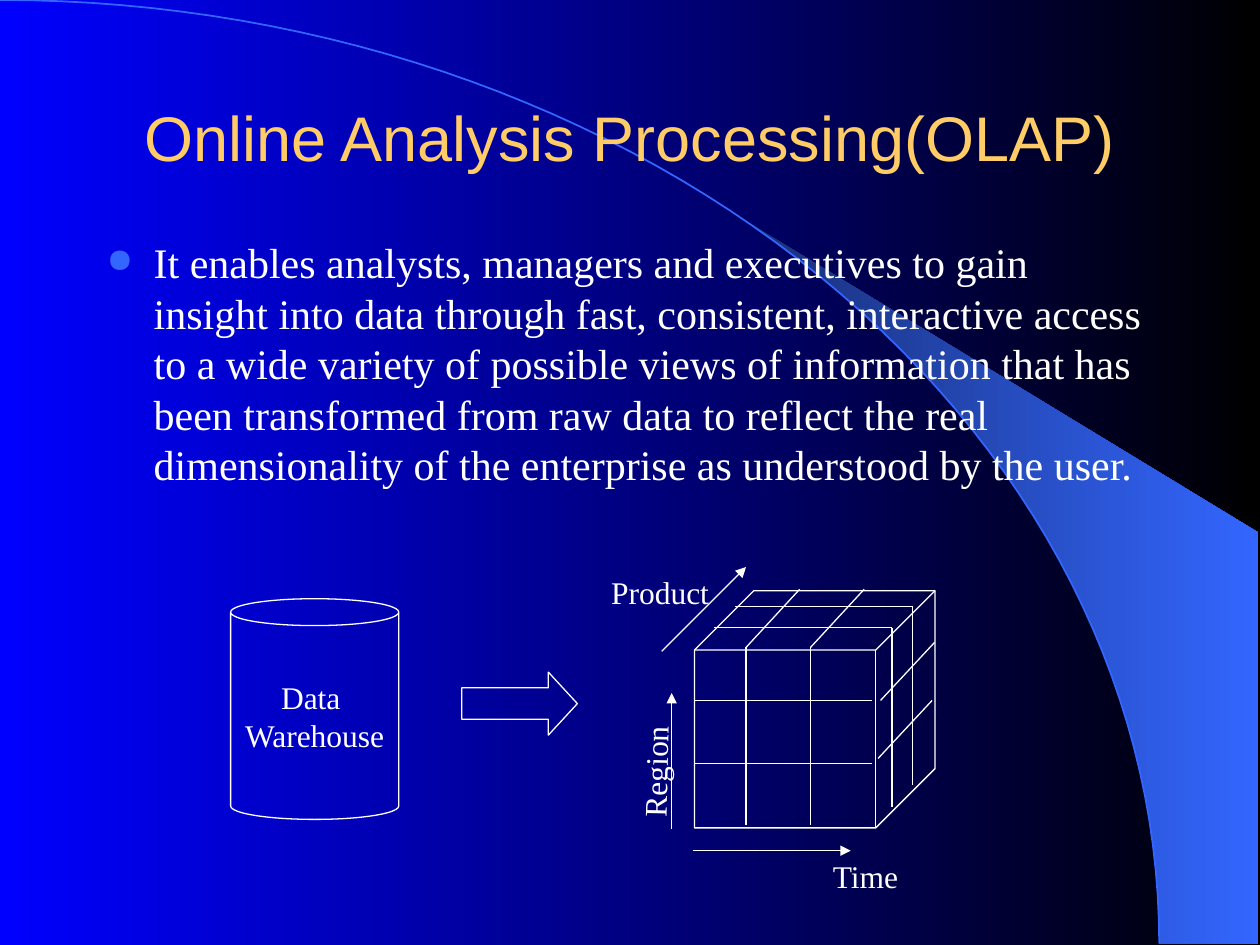
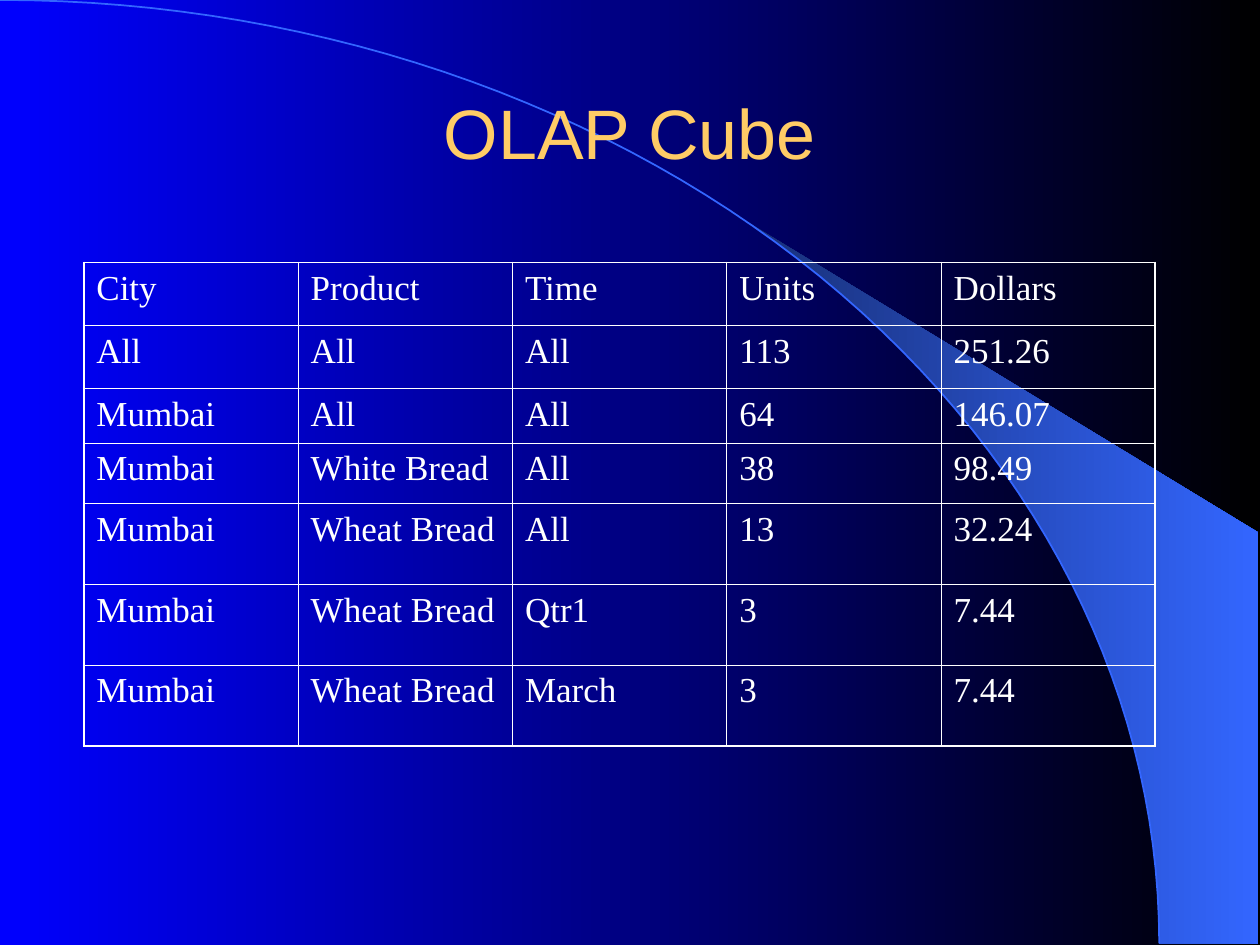
import math

import lxml.etree
import pptx
import pptx.dml.color
import pptx.enum.shapes
import pptx.enum.text
import pptx.oxml.ns
import pptx.util

Cm = pptx.util.Cm
Pt = pptx.util.Pt
RGBColor = pptx.dml.color.RGBColor
Shape = pptx.enum.shapes.MSO_SHAPE
Align = pptx.enum.text.PP_ALIGN
Anchor = pptx.enum.text.MSO_ANCHOR
qn = pptx.oxml.ns.qn

BLUE = RGBColor(0x00, 0x00, 0xFF)
BLACK = RGBColor(0x00, 0x00, 0x00)
WHITE = RGBColor(0xFF, 0xFF, 0xFF)
GOLD = RGBColor(0xFF, 0xCC, 0x66)
NAVY = RGBColor(0x18, 0x2F, 0x76)
AZURE = RGBColor(0x33, 0x66, 0xFF)

BODY_FONT = "Times New Roman"
TITLE_FONT = "Arial"
ARC_WIDTH, ARC_HEIGHT = 23.37, 19.02

CUBE_ROWS = [
    ["City", "Product", "Time", "Units", "Dollars"],
    ["All", "All", "All", "113", "251.26"],
    ["Mumbai", "All", "All", "64", "146.07"],
    ["Mumbai", "White Bread", "All", "38", "98.49"],
    ["Mumbai", "Wheat Bread", "All", "13", "32.24"],
    ["Mumbai", "Wheat Bread", "Qtr1", "3", "7.44"],
    ["Mumbai", "Wheat Bread", "March", "3", "7.44"],
]
ROW_HEIGHTS = [1.27, 1.27, 1.1, 1.22, 1.63, 1.63, 1.63]


def apply_format(target, values):
    """Set each attribute of the target from a dict."""
    for name, value in values.items():
        setattr(target, name, value)


def arc_points(start, stop, steps=60):
    """Return points of the quarter ellipse between two angles in degrees."""
    angles = [math.radians(start + (stop - start) * i / steps) for i in range(steps + 1)]
    return [(ARC_WIDTH * math.sin(a), ARC_HEIGHT * (1 - math.cos(a))) for a in angles]


class Deck:
    """Hold the shared style and the current slide."""

    def __init__(self):
        """Start an empty presentation."""
        self.presentation = pptx.Presentation()
        self.presentation.slide_width = Cm(25.4)
        self.presentation.slide_height = Cm(19.05)
        self.slide = None

    def gradient(self, fill, colors):
        """Apply a left-to-right gradient of two colours."""
        fill.gradient()
        fill.gradient_angle = 0
        for position, (stop, color) in enumerate(zip(fill.gradient_stops, colors)):
            stop.position = position
            stop.color.rgb = color

    def outline(self, line, color=WHITE, width=0.75):
        """Set the colour and width of a line."""
        line.color.rgb = color
        line.width = Pt(width)

    def freeform(self, points, close):
        """Draw an outline through points in centimetres."""
        places = [(Cm(x), Cm(y)) for x, y in points]
        builder = self.slide.shapes.build_freeform(*places[0], scale=1.0)
        builder.add_line_segments(places[1:], close=close)
        shape = builder.convert_to_shape()
        shape.shadow.inherit = False
        return shape

    def new_slide(self, title, top, height, size):
        """Add a slide with its background, sweep and title."""
        self.slide = self.presentation.slides.add_slide(self.presentation.slide_layouts[6])
        self.gradient(self.slide.background.fill, (BLUE, BLACK))
        sweep = self.freeform(arc_points(39.8, 90) + [(25.37, 19.02), (25.37, 10.74)], True)
        self.gradient(sweep.fill, (NAVY, AZURE))
        sweep.line.fill.background()
        arc = self.freeform(arc_points(0, 90), False)
        arc.fill.background()
        self.outline(arc.line, AZURE, 1)
        self.text(title, 1.9, top, 21.59, height, size, align=Align.CENTER,
                  anchor=Anchor.MIDDLE, font=TITLE_FONT, color=GOLD)

    def fill_text(self, frame, text, size, font=BODY_FONT, color=WHITE, align=Align.LEFT):
        """Fill a text frame, one paragraph a line."""
        frame.text = text
        for paragraph in frame.paragraphs:
            paragraph.alignment = align
            for run in paragraph.runs:
                apply_format(run.font, {"name": font, "size": Pt(size)})
                run.font.color.rgb = color

    def text(self, text, left, top, width, height, size=18, anchor=Anchor.TOP,
             rotation=0, **style):
        """Add a wrapping text box."""
        box = self.slide.shapes.add_textbox(Cm(left), Cm(top), Cm(width), Cm(height))
        box.rotation = rotation
        apply_format(box.text_frame, {"word_wrap": True, "vertical_anchor": anchor})
        self.fill_text(box.text_frame, text, size, **style)
        return box

    def bullet(self, paragraph):
        """Give a paragraph a hanging round bullet."""
        properties = paragraph._p.get_or_add_pPr()
        properties.set("marL", str(Cm(0.95)))
        properties.set("indent", str(Cm(-0.95)))
        color = lxml.etree.SubElement(properties, qn("a:buClr"))
        lxml.etree.SubElement(color, qn("a:srgbClr"), val=str(AZURE))
        lxml.etree.SubElement(properties, qn("a:buSzPct"), val="80000")
        lxml.etree.SubElement(properties, qn("a:buChar"), char="●")

    def outlined_shape(self, kind, left, top, width, height, adjustments):
        """Add an unfilled preset shape with a white outline."""
        shape = self.slide.shapes.add_shape(kind, Cm(left), Cm(top), Cm(width), Cm(height))
        shape.shadow.inherit = False
        shape.fill.background()
        self.outline(shape.line)
        for index, value in enumerate(adjustments):
            shape.adjustments[index] = value
        return shape

    def line(self, x1, y1, x2, y2, arrow=False):
        """Add a straight line, with an arrowhead if asked."""
        connector = self.slide.shapes.add_connector(
            pptx.enum.shapes.MSO_CONNECTOR.STRAIGHT, Cm(x1), Cm(y1), Cm(x2), Cm(y2))
        self.outline(connector.line)
        if arrow:
            lxml.etree.SubElement(connector.line._get_or_add_ln(), qn("a:tailEnd"), type="triangle")
        lxml.etree.SubElement(connector._element.spPr, qn("a:effectLst"))

    def border(self, cell, side, width):
        """Draw one border of a table cell."""
        line = lxml.etree.SubElement(
            cell._tc.get_or_add_tcPr(), qn(f"a:ln{side}"), w=str(Pt(width)))
        fill = lxml.etree.SubElement(line, qn("a:solidFill"))
        lxml.etree.SubElement(fill, qn("a:srgbClr"), val=str(WHITE))

    def table(self, rows, heights, left, top, column_width):
        """Add an unfilled table with a heavier outer frame."""
        count = len(rows[0])
        table = self.slide.shapes.add_table(
            len(rows), count, Cm(left), Cm(top),
            Cm(column_width * count), Cm(sum(heights))).table
        apply_format(table, {"first_row": False, "horz_banding": False})
        for column in table.columns:
            column.width = Cm(column_width)
        for r, (values, height) in enumerate(zip(rows, heights)):
            table.rows[r].height = Cm(height)
            for c, value in enumerate(values):
                cell = table.cell(r, c)
                self.fill_text(cell.text_frame, value, 20)
                outer = {"L": c == 0, "R": c == count - 1,
                         "T": r == 0, "B": r == len(rows) - 1}
                for side, is_outer in outer.items():
                    self.border(cell, side, 1.08 if is_outer else 0.45)
                cell.fill.background()


def add_cube(deck):
    """Draw the data cube, its grid lines and its axes."""
    deck.outlined_shape(Shape.CUBE, 14, 11.91, 4.85, 4.78, [0.25])
    for x in (15.04, 16.34):
        deck.line(x, 13.05, x, 16.64)
        deck.line(x, 13.05, x + 1.08, 11.88)
    for y in (14.12, 15.39):
        deck.line(14, y, 17.58, y)
    for x, y in ((17.75, 14.12), (17.7, 15.29)):
        deck.line(x, y, x + 1.09, y - 1.17)
    for x, y in ((14.4, 12.65), (14.81, 12.22)):
        deck.line(x, y, x + 3.58, y)
        deck.line(x + 3.58, y, x + 3.58, y + 3.61)
    for axis in ((13.97, 17.15, 17.15, 17.15), (13.54, 16.71, 13.54, 13.97),
                 (13.34, 13.13, 15.04, 11.43)):
        deck.line(*axis, arrow=True)
    deck.text("Time", 16.54, 17.15, 2.29, 1.02)
    deck.text("Product", 12.07, 11.43, 2.54, 1.02)
    deck.text("Region", 11.94, 14.94, 2.54, 1.02, rotation=271.1)


def main():
    """Build and save both slides."""
    deck = Deck()
    deck.new_slide("Online Analysis Processing(OLAP)", 1.7, 2.11, 36)
    body = deck.text(
        "It enables analysts, managers and executives to gain insight into data through "
        "fast, consistent, interactive access to a wide variety of possible views of "
        "information that has been transformed from raw data to reflect the real "
        "dimensionality of the enterprise as understood by the user.",
        1.9, 4.65, 21.59, 6.15, 24)
    deck.bullet(body.text_frame.paragraphs[0])
    warehouse = deck.outlined_shape(Shape.CAN, 4.65, 12.07, 3.39, 4.45, [0.16])
    apply_format(warehouse.text_frame, {"word_wrap": False, "vertical_anchor": Anchor.MIDDLE})
    deck.fill_text(warehouse.text_frame, "Data \nWarehouse", 18, align=Align.CENTER)
    deck.outlined_shape(Shape.RIGHT_ARROW, 9.31, 13.55, 2.33, 1.27, [0.5, 0.46])
    add_cube(deck)

    deck.new_slide("OLAP Cube", 1.48, 2.33, 40)
    deck.table(CUBE_ROWS, ROW_HEIGHTS, 1.69, 5.29, 4.32)
    deck.presentation.save("out.pptx")


if __name__ == "__main__":
    main()
